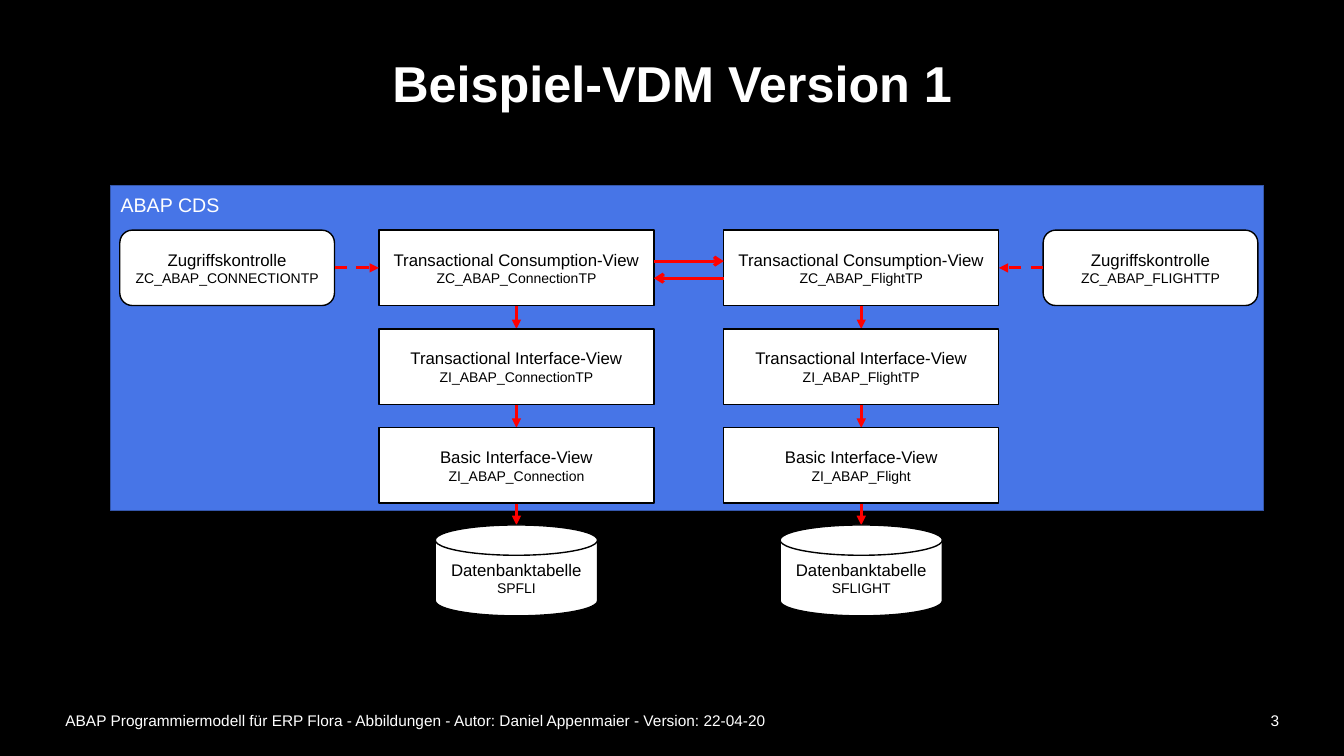
import pptx
import pptx.util
import pptx.dml.color
import pptx.enum.dml
import pptx.enum.shapes
import pptx.enum.text
import pptx.oxml
import pptx.oxml.ns
from dataclasses import dataclass

Cm, Pt = pptx.util.Cm, pptx.util.Pt
RGB = pptx.dml.color.RGBColor.from_string
SHAPE = pptx.enum.shapes.MSO_SHAPE
ALIGN = pptx.enum.text.PP_ALIGN
ANCHOR = pptx.enum.text.MSO_ANCHOR


@dataclass
class Theme:
    font: str = "Arial"
    back: str = "000000"
    light: str = "FFFFFF"
    dark: str = "000000"
    panel: str = "4775E7"
    panel_line: str = "3557AB"
    arrow: str = "FF0000"
    title: int = 36
    heading: int = 14
    label: int = 12
    footer: int = 11
    name: int = 10


T = Theme()


def write(tf, text, size, color=T.light, bold=False, align=ALIGN.LEFT,
          anchor=ANCHOR.MIDDLE, spacing=1.0, new=False):
    tf.word_wrap = True
    tf.vertical_anchor = anchor
    p = tf.add_paragraph() if new else tf.paragraphs[0]
    p.alignment, p.line_spacing = align, spacing
    r = p.add_run()
    r.text = text
    r.font.name, r.font.size, r.font.bold = T.font, Pt(size), bold
    r.font.color.rgb = RGB(color)


def arrow(s, x1, y1, x2, y2, head="triangle", dashed=False):
    c = s.shapes.add_connector(pptx.enum.shapes.MSO_CONNECTOR.STRAIGHT,
                               Cm(x1), Cm(y1), Cm(x2), Cm(y2))
    c.line.color.rgb = RGB(T.arrow)
    c.line.width = Pt(2.25)
    if dashed:
        c.line.dash_style = pptx.enum.dml.MSO_LINE.DASH
    ns = pptx.oxml.ns.nsdecls("a")
    spPr = c.element.spPr
    ln = spPr.find(pptx.oxml.ns.qn("a:ln"))
    ln.append(pptx.oxml.parse_xml(f'<a:tailEnd {ns} type="{head}"/>'))
    spPr.append(pptx.oxml.parse_xml(f"<a:effectLst {ns}/>"))


prs = pptx.Presentation()
prs.slide_width, prs.slide_height = Cm(33.87), Cm(19.05)
s = prs.slides.add_slide(prs.slide_layouts[5])
s.background.fill.solid()
s.background.fill.fore_color.rgb = RGB(T.back)

# Title
title = s.shapes.title
title.left, title.top, title.width, title.height = Cm(1.4), Cm(0.64), Cm(31.09), Cm(3.05)
write(title.text_frame, "Beispiel-VDM Version 1", T.title, bold=True,
      align=ALIGN.CENTER, spacing=0.9)

# Footer and page number
for x, w, text, align in [
    (1.4, 29.06, "ABAP Programmiermodell für ERP Flora - Abbildungen - "
                 "Autor: Daniel Appenmaier - Version: 22-04-20", ALIGN.LEFT),
    (30.46, 2.03, "3", ALIGN.RIGHT),
]:
    tb = s.shapes.add_textbox(Cm(x), Cm(17.65), Cm(w), Cm(1.02))
    write(tb.text_frame, text, T.footer, align=align)

# CDS panel
panel = s.shapes.add_shape(SHAPE.RECTANGLE, Cm(2.79), Cm(4.67), Cm(29.06), Cm(8.2))
panel.shadow.inherit = False
panel.fill.solid()
panel.fill.fore_color.rgb = RGB(T.panel)
panel.line.color.rgb = RGB(T.panel_line)
panel.line.width = Pt(1)
tf = panel.text_frame
tf.margin_top = tf.margin_bottom = Cm(0.2)
write(tf, "ABAP CDS", T.heading, anchor=ANCHOR.TOP)

# Grid of the two view stacks
view_w, box_h = 6.93, 1.9
row_y, row_step = 5.8, 2.49
disk_w, disk_h, disk_y = 4.09, 2.29, 13.23
access_w = 5.41
view_kinds = ["Transactional Consumption-View", "Transactional Interface-View",
              "Basic Interface-View"]
stacks = [  # left edge, view names, table, left edge of access control, its name
    (9.55, ["ZC_ABAP_ConnectionTP", "ZI_ABAP_ConnectionTP", "ZI_ABAP_Connection"],
     "SPFLI", 3.02, "ZC_ABAP_CONNECTIONTP"),
    (18.24, ["ZC_ABAP_FlightTP", "ZI_ABAP_FlightTP", "ZI_ABAP_Flight"],
     "SFLIGHT", 26.29, "ZC_ABAP_FLIGHTTP"),
]

# Nodes and downward arrows
nodes = []
for x, names, table, access_x, access in stacks:
    mid = x + view_w / 2
    tops = [row_y + i * row_step for i in range(3)]
    for y, kind, name in zip(tops, view_kinds, names):
        nodes.append((SHAPE.RECTANGLE, x, y, view_w, box_h, kind, name))
    nodes.append((SHAPE.FLOWCHART_MAGNETIC_DISK, mid - disk_w / 2, disk_y,
                  disk_w, disk_h, "Datenbanktabelle", table))
    nodes.append((SHAPE.ROUNDED_RECTANGLE, access_x, row_y, access_w, box_h,
                  "Zugriffskontrolle", access))
    for y, below in zip(tops, tops[1:] + [disk_y]):
        arrow(s, mid, y + box_h, mid, below)

for shape, x, y, w, h, kind, name in nodes:
    sp = s.shapes.add_shape(shape, Cm(x), Cm(y), Cm(w), Cm(h))
    sp.shadow.inherit = False
    sp.fill.solid()
    sp.fill.fore_color.rgb = RGB(T.light)
    sp.line.color.rgb = RGB(T.dark)
    sp.line.width = Pt(1)
    tf = sp.text_frame
    tf.margin_left = tf.margin_right = Cm(0.1)
    write(tf, kind, T.label, T.dark, align=ALIGN.CENTER)
    write(tf, name, T.name, T.dark, align=ALIGN.CENTER, new=True)

# Associations between the consumption views
left_edge, right_edge = stacks[0][0] + view_w, stacks[1][0]
arrow(s, left_edge, 6.58, right_edge, 6.58, head="arrow")
arrow(s, right_edge, 7.01, left_edge, 7.01, head="arrow")

# Access controls
access_mid = row_y + box_h / 2
arrow(s, stacks[0][3] + access_w, access_mid, stacks[0][0], access_mid, dashed=True)
arrow(s, stacks[1][3], access_mid, stacks[1][0] + view_w, access_mid, dashed=True)

prs.save("out.pptx")
